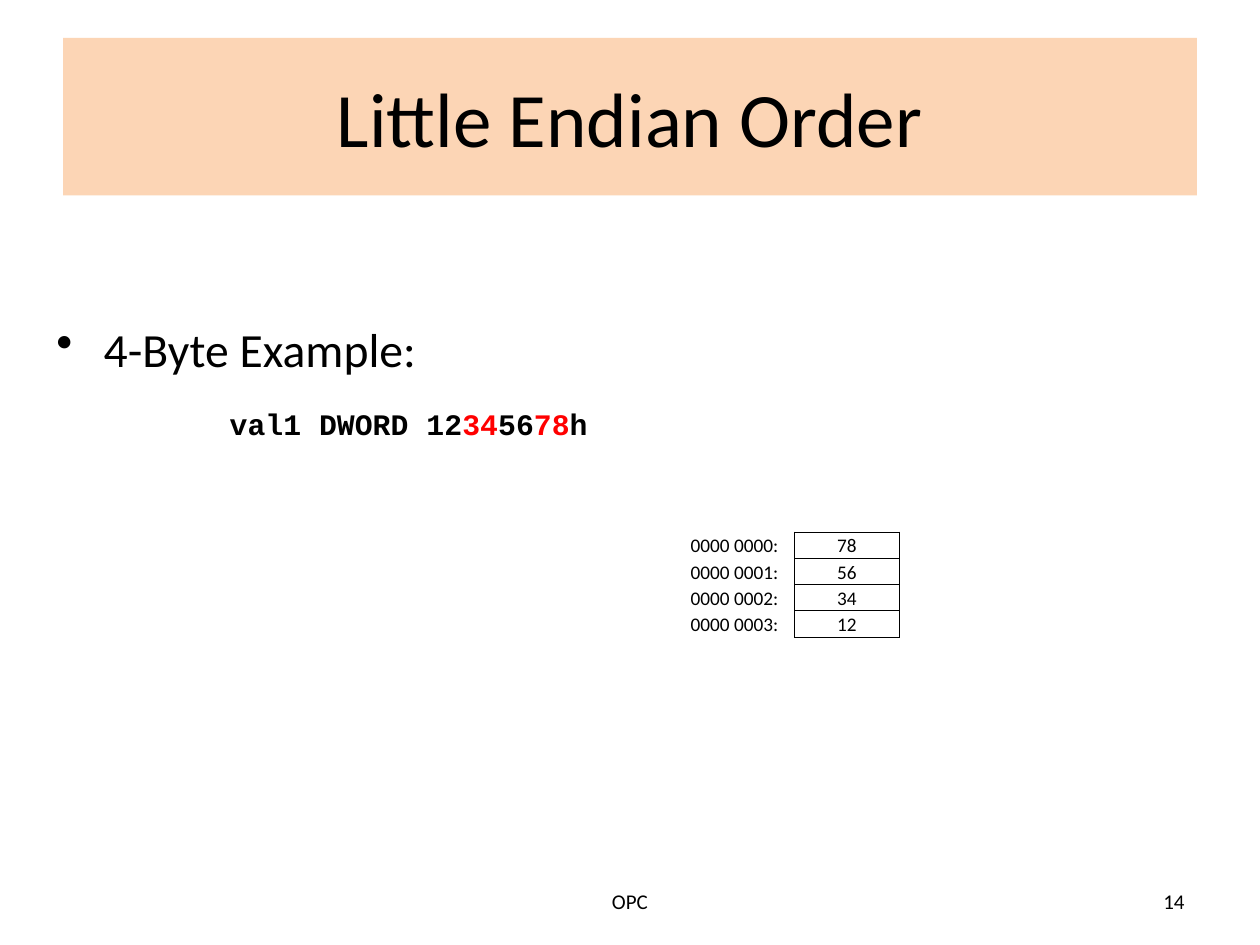
from lxml import etree
from pptx import Presentation
from pptx import util as u
from pptx.dml.color import RGBColor
from pptx.enum import text
from pptx.oxml import ns

COLORS = {"ink": "000000", "accent": "FF0000", "banner": "FCD5B5"}
LEFT, CENTER, RIGHT = text.PP_ALIGN.LEFT, text.PP_ALIGN.CENTER, text.PP_ALIGN.RIGHT


def pts(*values):
    """Convert numbers to lengths in points."""
    return [u.Pt(v) for v in values]


def write(p, content, size=12, font="Calibri", color="ink", bold=False, align=LEFT):
    """Append one formatted run to a paragraph."""
    p.alignment = align
    r = p.add_run()
    r.text = content
    f = r.font
    f.size, f.name, f.bold = u.Pt(size), font, bold
    f.color.rgb = RGBColor.from_string(COLORS[color])


def indent(p, left, first=0, bullet=None):
    """Set a paragraph's indents and its optional bullet."""
    pPr = p._p.get_or_add_pPr()
    pPr.set("marL", str(u.Pt(left)))
    pPr.set("indent", str(u.Pt(first)))
    if bullet:
        etree.SubElement(pPr, ns.qn("a:buChar"), char=bullet)


def text_box(s, box, anchor):
    """Add a wrapping text box and return its text frame."""
    tf = s.shapes.add_textbox(*pts(*box)).text_frame
    tf.word_wrap = True
    tf.vertical_anchor = anchor
    return tf


def add_title(s, box, content):
    """Format the title placeholder as a filled banner."""
    sp = s.shapes.title
    sp.left, sp.top, sp.width, sp.height = pts(*box)
    sp.fill.solid()
    sp.fill.fore_color.rgb = RGBColor.from_string(COLORS["banner"])
    tf = sp.text_frame
    tf.vertical_anchor = text.MSO_ANCHOR.MIDDLE
    write(tf.paragraphs[0], content, size=44, align=CENTER)


def add_example(s, box, heading, code):
    """Add a bulleted heading with a line of coloured code below it."""
    tf = text_box(s, box, text.MSO_ANCHOR.TOP)
    tf.margin_top = u.Pt(43)
    p = tf.paragraphs[0]
    indent(p, 27, -27, "•")
    write(p, heading, size=27.2)
    p = tf.add_paragraph()
    indent(p, 99)
    p.space_before = u.Pt(16.5)
    for content, color in code:
        write(p, content, size=17, font="Courier New", color=color, bold=True)


def set_borders(cell, visible):
    """Draw or hide the four borders of a table cell."""
    tcPr = cell._tc.get_or_add_tcPr()
    for side in "LRTB":
        ln = etree.SubElement(tcPr, ns.qn("a:ln" + side), w=str(u.Pt(0.5)))
        if visible:
            fill = etree.SubElement(ln, ns.qn("a:solidFill"))
            etree.SubElement(fill, ns.qn("a:srgbClr"), val=COLORS["ink"])
        else:
            etree.SubElement(ln, ns.qn("a:noFill"))


def add_memory(s, box, values):
    """Add a table of byte addresses and their boxed values."""
    table = s.shapes.add_table(len(values), 2, *pts(*box)).table
    table.first_row = table.horz_banding = False
    for i, value in enumerate(values):
        for j, content in enumerate((f"0000 {i:04}:", value)):
            cell = table.cell(i, j)
            cell.margin_left = cell.margin_right = cell.margin_top = u.Pt(0.7)
            cell.margin_bottom = 0
            cell.vertical_anchor = text.MSO_ANCHOR.BOTTOM
            set_borders(cell, visible=j == 1)
            cell.fill.background()
            write(cell.text_frame.paragraphs[0], content, size=11,
                  align=CENTER if j else LEFT)
            if j:
                left = table.cell(i, 0)._tc.tcPr.find(ns.qn("a:lnR"))
                shared = cell._tc.tcPr.find(ns.qn("a:lnL"))
                left[:] = [etree.fromstring(etree.tostring(e)) for e in shared]


def add_footer(s, box, content, align):
    """Add one footer text."""
    tf = text_box(s, box, text.MSO_ANCHOR.MIDDLE)
    write(tf.paragraphs[0], content, align=align)


def main():
    """Build and save the slide."""
    prs = Presentation()
    prs.slide_width, prs.slide_height = pts(720, 540)
    s = prs.slides.add_slide(prs.slide_layouts[5])
    add_title(s, (36, 21.6, 648, 90), "Little Endian Order")
    add_footer(s, (246, 500.5, 228, 28.75), "OPC", CENTER)
    add_footer(s, (516, 500.5, 168, 28.75), "14", RIGHT)
    add_example(s, (25.2, 139.7, 642, 108), "4-Byte Example:",
                [("val1 DWORD 12", "ink"), ("34", "accent"), ("56", "ink"),
                 ("78", "accent"), ("h", "ink")])
    add_memory(s, (394, 304, 120, 60), ["78", "56", "34", "12"])
    prs.save("out.pptx")


if __name__ == "__main__":
    main()
